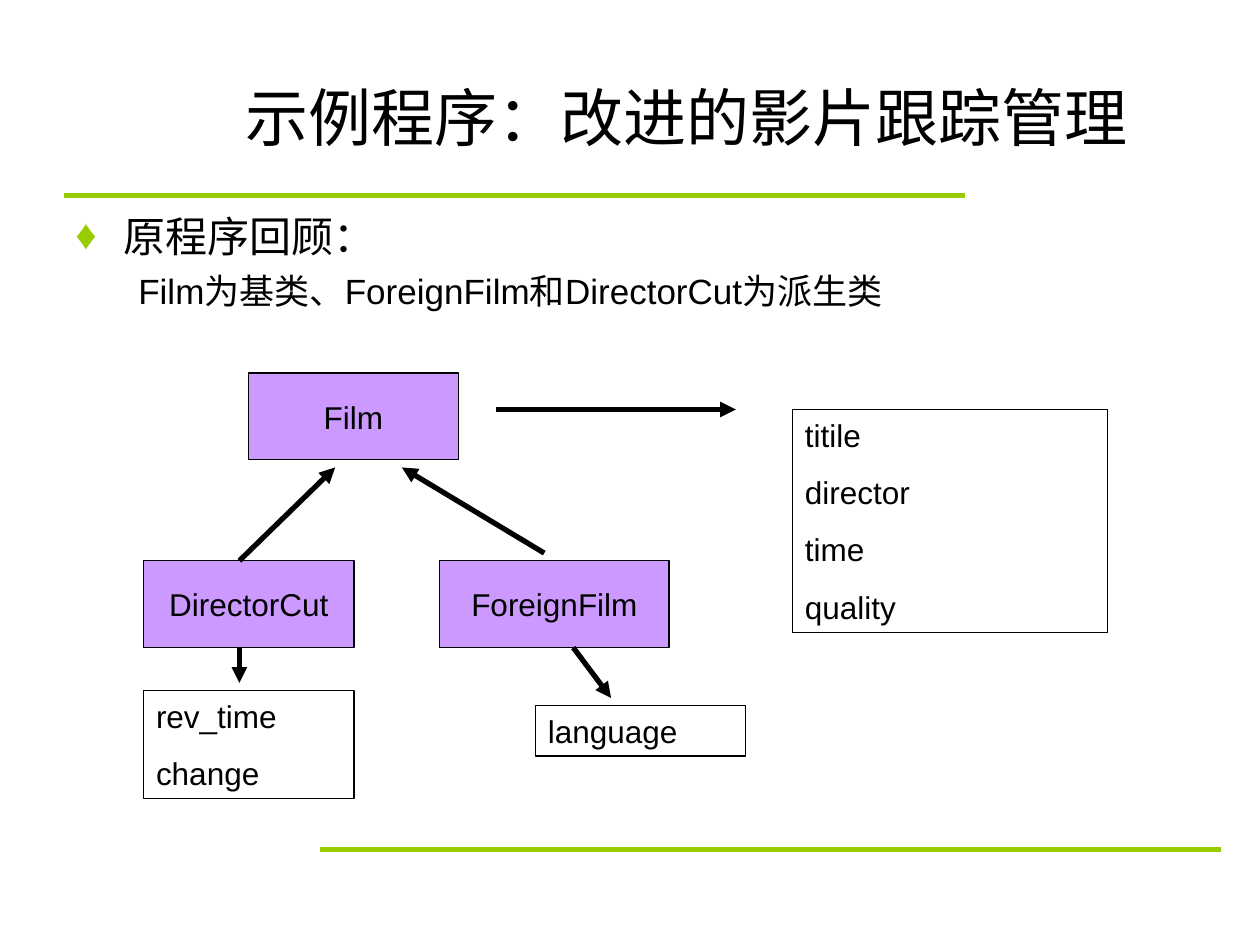
from collections import namedtuple

from lxml.etree import SubElement
from pptx import Presentation
from pptx.dml.color import RGBColor
from pptx.enum.shapes import MSO_CONNECTOR, MSO_SHAPE
from pptx.enum.text import MSO_ANCHOR, PP_ALIGN
from pptx.oxml.ns import qn
from pptx.util import Inches, Pt

GREEN = RGBColor(0x99, 0xCC, 0x00)
PURPLE = RGBColor(0xCC, 0x99, 0xFF)
BLACK = RGBColor(0x00, 0x00, 0x00)
FONT = "Arial"

SLIDE_WIDTH, SLIDE_HEIGHT = Inches(10), Inches(7.5)
COLUMN, ROW = SLIDE_WIDTH / 100, SLIDE_HEIGHT / 75

Box = namedtuple("Box", "left top width height")


def place(region, left, top, width, height):
    """Return a box whose offset is counted from the region's corner."""
    return Box(region.left + left, region.top + top, width, height)


def to_emu(box):
    """Turn grid columns and rows into slide lengths."""
    return (round(box.left * COLUMN), round(box.top * ROW),
            round(box.width * COLUMN), round(box.height * ROW))


def style(paragraph, size):
    """Apply the slide's font to a paragraph."""
    paragraph.font.name = FONT
    paragraph.font.size = Pt(size)
    paragraph.font.color.rgb = BLACK


def add_line(slide, region, start, end, color, arrow=False):
    """Draw a straight line between two grid points of the region."""
    x1, y1, x2, y2 = to_emu(Box(region.left + start[0], region.top + start[1],
                                region.left + end[0], region.top + end[1]))
    line = slide.shapes.add_connector(MSO_CONNECTOR.STRAIGHT, x1, y1, x2, y2)
    line.line.color.rgb = color
    line.line.width = Pt(3)
    if arrow:
        SubElement(line.line._get_or_add_ln(), qn("a:tailEnd"), type="triangle")
    SubElement(line._element.spPr, qn("a:effectLst"))


def add_rectangle(slide, box):
    """Draw an unfilled, thinly outlined rectangle."""
    rectangle = slide.shapes.add_shape(MSO_SHAPE.RECTANGLE, *to_emu(box))
    rectangle.shadow.inherit = False
    rectangle.fill.background()
    rectangle.line.color.rgb = BLACK
    rectangle.line.width = Pt(0.75)
    return rectangle


def add_class(slide, box, name):
    """Draw a class as a purple rectangle with its name centred."""
    rectangle = add_rectangle(slide, box)
    rectangle.fill.solid()
    rectangle.fill.fore_color.rgb = PURPLE
    frame = rectangle.text_frame
    frame.word_wrap = False
    frame.vertical_anchor = MSO_ANCHOR.MIDDLE
    label = frame.paragraphs[0]
    label.text = name
    label.alignment = PP_ALIGN.CENTER
    style(label, 18)


def add_members(slide, box, members):
    """List data members, one a paragraph, in an outlined rectangle."""
    frame = add_rectangle(slide, box).text_frame
    frame.word_wrap = True
    frame.vertical_anchor = MSO_ANCHOR.TOP
    frame.text = "\n".join(members)
    for index, member in enumerate(frame.paragraphs):
        member.alignment = PP_ALIGN.LEFT
        if index:
            member.space_before = Pt(11.2)
        style(member, 18)


def add_rules(slide, region):
    """Draw the two offset green rules at the region's top and bottom."""
    length = 71.5
    add_line(slide, region, (0, 0), (length, 0), GREEN)
    add_line(slide, region, (region.width - length, region.height),
             (region.width, region.height), GREEN)


def add_title(slide, region, wording):
    """Write the slide title, vertically centred."""
    frame = slide.shapes.add_textbox(*to_emu(region)).text_frame
    frame.word_wrap = True
    frame.vertical_anchor = MSO_ANCHOR.MIDDLE
    title = frame.paragraphs[0]
    title.text = wording
    style(title, 36)


def add_review(slide, region, heading_text, detail_text):
    """Write a bulleted heading with an indented detail under it."""
    frame = slide.shapes.add_textbox(*to_emu(region)).text_frame
    frame.word_wrap = True
    heading, detail = frame.paragraphs[0], frame.add_paragraph()

    heading.text = heading_text
    layout = heading._p.get_or_add_pPr()
    layout.set("marL", str(Inches(0.38)))
    layout.set("indent", str(-Inches(0.38)))
    bullet_color = SubElement(layout, qn("a:buClr"))
    SubElement(bullet_color, qn("a:srgbClr"), val=str(GREEN))
    SubElement(layout, qn("a:buFont"), typeface=FONT)
    SubElement(layout, qn("a:buChar"), char="♦")
    style(heading, 24)

    detail.text = detail_text
    detail.level = 1
    layout = detail._p.get_or_add_pPr()
    layout.set("marL", str(Inches(0.81)))
    layout.set("indent", str(-Inches(0.31)))
    SubElement(layout, qn("a:buNone"))
    detail.space_before = Pt(5)
    style(detail, 20)


def add_hierarchy(slide, region):
    """Draw the film classes, their inheritance arrows and their members."""
    width, height = 16.7, 6.9
    derived_top = 14.9
    derived_bottom = derived_top + height
    classes = [
        ("Film", 8.3, 0, width),
        ("DirectorCut", 0, derived_top, width),
        ("ForeignFilm", 23.5, derived_top, 18.2),
    ]
    arrows = [
        ((7.6, derived_top), (15.2, 7.5)),
        ((31.8, 14.3), (20.5, 7.5)),
        ((28, 2.9), (47, 2.9)),
        ((7.6, derived_bottom), (7.6, 24.6)),
        ((34.1, derived_bottom), (37.1, 25.8)),
    ]
    member_lists = [
        (["titile", "director", "time", "quality"], 51.5, 2.9, 25, 17.7),
        (["language"], 31.1, 26.4, width, 4),
        (["rev_time", "change"], 0, 25.2, width, 8.6),
    ]
    for name, left, top, class_width in classes:
        add_class(slide, place(region, left, top, class_width, height), name)
    for start, end in arrows:
        add_line(slide, region, start, end, BLACK, arrow=True)
    for members, *bounds in member_lists:
        add_members(slide, place(region, *bounds), members)


def main():
    """Build the slide and save it."""
    presentation = Presentation()
    presentation.slide_width = SLIDE_WIDTH
    presentation.slide_height = SLIDE_HEIGHT
    slide = presentation.slides.add_slide(presentation.slide_layouts[6])
    add_rules(slide, Box(5.1, 15.5, 91.8, 51.9))
    add_title(slide, Box(18.5, 3, 76.5, 12.5), "示例程序：改进的影片跟踪管理")
    add_review(slide, Box(5, 16.2, 90, 50.4), "原程序回顾：",
               "Film为基类、ForeignFilm和DirectorCut为派生类")
    add_hierarchy(slide, Box(11.4, 29.6, 76.5, 33.8))
    presentation.save("out.pptx")


if __name__ == "__main__":
    main()
